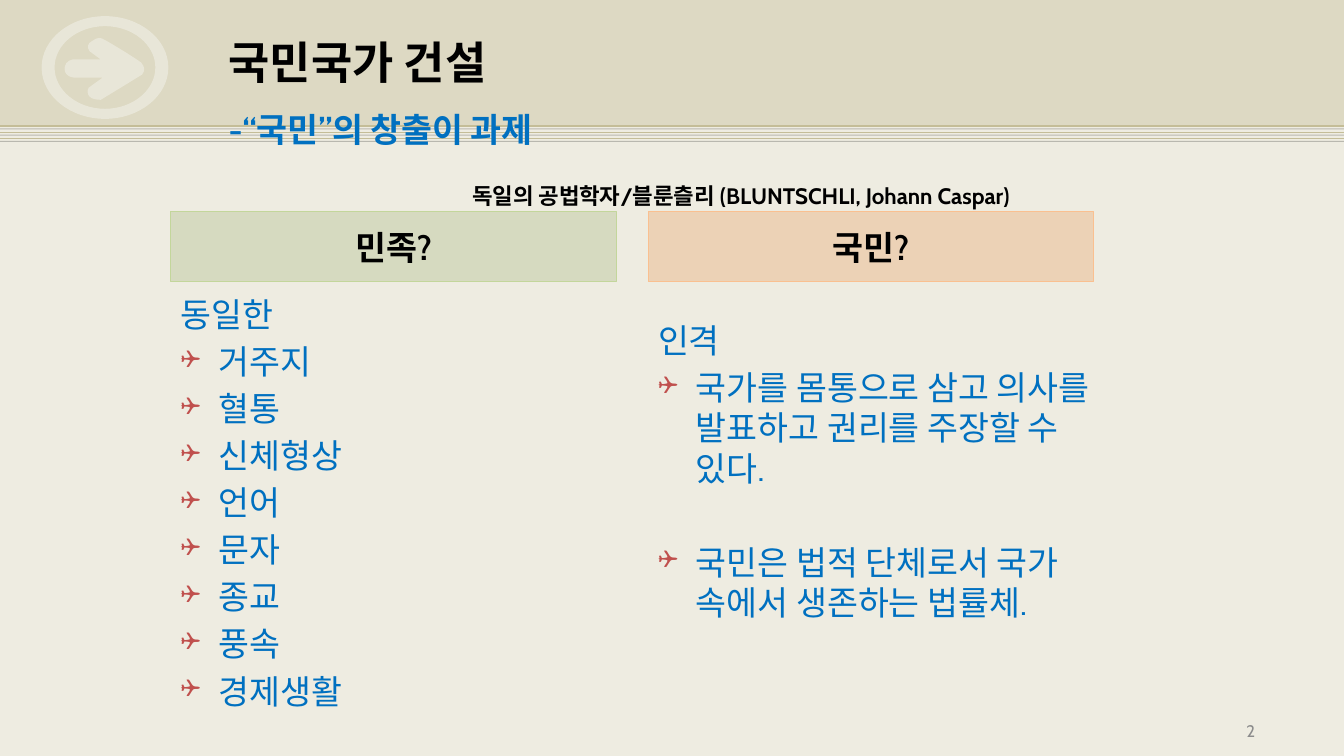
from lxml import etree
from pptx import Presentation
from pptx.dml.color import RGBColor
from pptx.enum import shapes, text
from pptx.oxml import parse_xml
from pptx.oxml.ns import nsdecls, qn
from pptx.util import Pt

MIDDLE, TOP = text.MSO_ANCHOR.MIDDLE, text.MSO_ANCHOR.TOP
LEFT, CENTER, RIGHT = text.PP_ALIGN.LEFT, text.PP_ALIGN.CENTER, text.PP_ALIGN.RIGHT


def paint(fill, color, opacity=100):
    """Fill with a hex colour at the given opacity in percent."""
    fill.solid()
    fill.fore_color.rgb = RGBColor.from_string(color)
    if opacity < 100:
        clr = fill._xPr.find(qn("a:solidFill"))[0]
        etree.SubElement(clr, qn("a:alpha"), val=str(opacity * 1000))


def write(sp, lines, anchor=TOP, align=LEFT):
    """Add one paragraph per (text, size, colour, bold) and return them."""
    tf = sp.text_frame
    tf.word_wrap = True
    tf.vertical_anchor = anchor
    for i, (words, size, color, bold) in enumerate(lines):
        p = tf.paragraphs[0] if i == 0 else tf.add_paragraph()
        p.alignment = align
        r = p.add_run()
        r.text = words
        r.font.name, r.font.size, r.font.bold = "Cabin", Pt(size), bold
        paint(r.font.fill, color)
        r.font._element.find(qn("a:latin")).addnext(
            parse_xml(f'<a:ea {nsdecls("a")} typeface="Cabin"/>'))
    return tf.paragraphs


prs = Presentation()
prs.slide_width, prs.slide_height = Pt(960), Pt(540)
s = prs.slides.add_slide(prs.slide_layouts[6])
paint(s.background.fill, "EEECE1")

# Header band with three ruled lines
band = s.shapes.add_shape(shapes.MSO_SHAPE.RECTANGLE, 0, 0, Pt(960), Pt(90))
band.shadow.inherit = False
paint(band.fill, "DDD9C3")
band.line.fill.background()
for y in (90, 94.5, 99):
    rule = s.shapes.add_connector(shapes.MSO_CONNECTOR.STRAIGHT, 0, Pt(y), Pt(960), Pt(y))
    paint(rule.line.fill, "C4BD97")
    rule.line.width = Pt(0.75)
    rule._element.spPr.append(parse_xml(
        f'<a:effectLst {nsdecls("a")}><a:outerShdw blurRad="0" dist="{Pt(2)}" dir="5400000">'
        '<a:srgbClr val="000000"><a:alpha val="22000"/></a:srgbClr></a:outerShdw></a:effectLst>'))

# Arrow inside a ring: a start, then pieces of one point (line) or three (curve)
arrow = [
    [(100.8, 44.6)],
    [(95.8, 41), (78.5, 30.2), (72.7, 27.4)], [(69.1, 26.6), (67.7, 28.1), (65.5, 29.5)],
    [(62.6, 31), (61.9, 33.8), (64.1, 36.7)], [(72, 42.5)], [(51.8, 42.5)],
    [(47.5, 43.2), (46.1, 46.8), (46.1, 49)], [(46.1, 51.8), (47.5, 54.7), (52.6, 55.4)],
    [(73.4, 55.4)], [(63.4, 62.6)],
    [(61.9, 64.8), (62.6, 67.7), (64.1, 69.1)], [(65.5, 70.6), (68.4, 71.3), (72, 71.3)],
    [(86.4, 62.6), (101.5, 53.3), (101.5, 53.3)], [(103, 51.1), (103, 50.4), (103, 49)],
    [(103, 47.5), (102.2, 46.8), (100.8, 44.6)],
]
quarters = [[(0, -1)], [(0.55, -1), (1, -0.55), (1, 0)], [(1, 0.55), (0.55, 1), (0, 1)],
            [(-0.55, 1), (-1, 0.55), (-1, 0)], [(-1, -0.55), (-0.55, -1), (0, -1)]]
ring = [[[(75 + rx * x, 48.2 + ry * y) for x, y in piece] for piece in quarters]
        for rx, ry in ((45.3, 36.7), (-36, 29.5))]
for contours in ([arrow], ring):
    builder = None
    for contour in contours:
        start, *pts = [(Pt(x), Pt(y)) for piece in contour for x, y in piece]
        if builder is None:
            builder = s.shapes.build_freeform(*start)
        else:
            builder.move_to(*start)
        builder.add_line_segments(pts, close=True)
    sp = builder.convert_to_shape()
    sp.shadow.inherit = False
    paint(sp.fill, "EEECE1", 70)
    sp.line.fill.background()
    steps = iter(list(sp._element.iter(qn("a:lnTo"))))
    for piece in (piece for contour in contours for piece in contour[1:]):
        first, *rest = [next(steps) for _ in piece]
        if rest:
            first.tag = qn("a:cubicBezTo")
            for step in rest:
                first.append(step[0])
                step.getparent().remove(step)

# Two columns: heading box, lead line, bulleted list
columns = [
    (122, "민족?", "77933C", "C3D69B", 206.6, 318.2, "동일한",
     ["거주지", "혈통", "신체형상", "언어", "문자", "종교", "풍속", "경제생활"], 4.8),
    (463, "국민?", "E46C0A", "FAC090", 225, 341.3, "인격",
     ["국가를 몸통으로 삼고 의사를 발표하고 권리를 주장할 수 있다.",
      "국민은 법적 단체로서 국가 속에서 생존하는 법률체."], 38.4),
]
for x, heading, fill, edge, top, width, lead, items, last_gap in columns:
    box = s.shapes.add_shape(shapes.MSO_SHAPE.RECTANGLE, Pt(x), Pt(151), Pt(318.2), Pt(50.2))
    box.shadow.inherit = False
    paint(box.fill, fill, 20)
    paint(box.line.fill, edge)
    box.line.width = Pt(0.75)
    write(box, [(heading, 24, "000000", True)], MIDDLE, CENTER)

    body = s.shapes.add_textbox(Pt(x), Pt(top), Pt(width), Pt(507 - top))
    paras = write(body, [(words, 24, "0070C0", False) for words in [lead] + items])
    for p in paras:
        p.space_before = Pt(4.8)
    paras[-1].space_before = Pt(last_gap)
    for p in paras[1:]:
        pPr = p._p.get_or_add_pPr()
        pPr.set("marL", str(Pt(27)))
        pPr.set("indent", str(Pt(-27)))
        color = etree.SubElement(pPr, qn("a:buClr"))
        etree.SubElement(color, qn("a:srgbClr"), val="C0504D")
        etree.SubElement(pPr, qn("a:buSzPct"), val="75000")
        etree.SubElement(pPr, qn("a:buFont"), typeface="Wingdings")
        etree.SubElement(pPr, qn("a:buChar"), char="❑")

number = s.shapes.add_textbox(Pt(679.7), Pt(509.8), Pt(223.9), Pt(23.8))
write(number, [("2", 12, "8C8C8C", False)], MIDDLE, RIGHT)

title = s.shapes.add_textbox(Pt(156.2), Pt(43.2), Pt(648), Pt(68.4))
paras = write(title, [
    ("국민국가 건설", 32, "000000", True),
    ("-“국민”의 창출이 과제", 24, "0070C0", True),
    ("독일의 공법학자/블룬츨리 (BLUNTSCHLI, Johann Caspar)", 16, "000000", True),
], MIDDLE)
for p in paras:
    p.line_spacing = 1.5
paras[-1].space_before = Pt(14)
paras[-1]._p.get_or_add_pPr().set("marL", str(Pt(174)))

prs.save("out.pptx")
